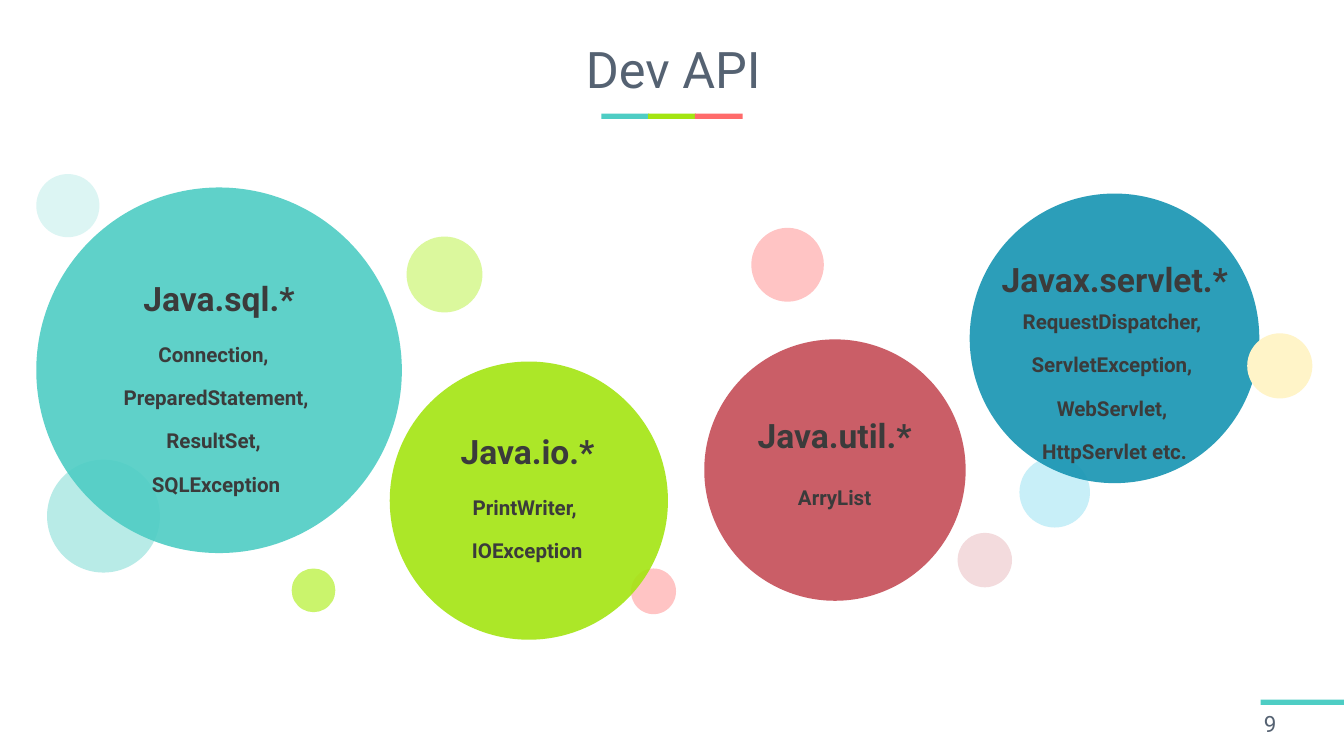
from typing import NamedTuple

from lxml.etree import SubElement
from pptx import Presentation
from pptx.dml.color import RGBColor
from pptx.enum.shapes import MSO_SHAPE as Preset
from pptx.enum.text import MSO_ANCHOR as Anchor, PP_ALIGN as Align
from pptx.oxml.ns import qn
from pptx.util import Inches, Pt

FONT = "Roboto"
SLATE, CHARCOAL = "556272", "3B3B3B"
TEAL, LIME, CORAL = "4ECDC4", "A3E511", "FF6B6B"
HEADING_SIZE, CLASS_SIZE = 36, 22


class Circle(NamedTuple):
    left: float
    top: float
    width: float
    height: float
    color: str
    opacity: int = 100


class Label(NamedTuple):
    left: float
    top: float
    width: float
    height: float
    lines: list[str]
    size: int


# Small bubbles behind the packages
BACK_BUBBLES = [
    Circle(11.18, 3.39, 1.08, 1.1, "FFC4C4"),
    Circle(15.17, 6.8, 1.05, 1.05, "C8EFF8"),
    Circle(0.7, 6.84, 1.68, 1.68, "B8EBE7"),
    Circle(9.39, 8.46, 0.67, 0.68, "FFC4C4"),
    Circle(4.34, 8.46, 0.65, 0.65, "CAF46C"),
]
PACKAGES = [
    Circle(0.54, 2.79, 5.44, 5.44, TEAL, 90),
    Circle(5.8, 5.38, 4.14, 4.14, LIME, 90),
    Circle(10.48, 5.05, 3.89, 3.89, "C54D57", 90),
    Circle(14.43, 2.88, 4.31, 4.31, "1694B2", 90),
]
# Small bubbles in front of the packages
FRONT_BUBBLES = [
    Circle(6.05, 3.52, 1.13, 1.13, "DBF89D"),
    Circle(0.54, 2.59, 0.94, 0.94, "DCF5F3"),
    Circle(14.25, 7.93, 0.81, 0.81, "F3DBDD"),
    Circle(18.56, 4.96, 0.97, 0.97, "FFF4C8"),
]
LABELS = [
    Label(0.74, 3.86, 5.04, 0.57, ["Java.sql.*"], HEADING_SIZE),
    Label(14.49, 3.59, 4.2, 0.57, ["Javax.servlet.*"], HEADING_SIZE),
    Label(10.69, 5.91, 3.46, 1.08, ["Java.util.*"], HEADING_SIZE),
    Label(6.12, 6.14, 3.46, 1.08, ["Java.io.*"], HEADING_SIZE),
    Label(1.06, 4.89, 4.31, 2.12,
          ["Connection, ", "PreparedStatement,", "ResultSet, ", "SQLException"], CLASS_SIZE),
    Label(5.82, 7.17, 4.05, 1.44, ["PrintWriter, ", "IOException"], CLASS_SIZE),
    Label(10.66, 7.02, 3.52, 1.44, ["ArryList"], CLASS_SIZE),
    Label(14.56, 4.4, 4.05, 2.16,
          ["RequestDispatcher, ", "ServletException, ", "WebServlet, ", "HttpServlet etc."],
          CLASS_SIZE),
]


def paint(fill, color: str, opacity: int = 100) -> None:
    fill.solid()
    fill.fore_color.rgb = RGBColor.from_string(color)
    if opacity < 100:
        color_element = fill._xPr.find(qn("a:solidFill"))[0]
        SubElement(color_element, qn("a:alpha")).set("val", str(opacity * 1000))


def add_figure(slide, preset, left: float, top: float, width: float, height: float,
               color: str, opacity: int = 100) -> None:
    shape = slide.shapes.add_shape(
        preset, Inches(left), Inches(top), Inches(width), Inches(height))
    shape.shadow.inherit = False
    shape.line.fill.background()
    paint(shape.fill, color, opacity)


def add_text(slide, lines: list[str], left: float, top: float, width: float, height: float,
             *, size: int, color: str, bold: bool = False, align=Align.CENTER,
             anchor=Anchor.TOP, line_spacing: float = 1.0, space_before: int = 0) -> None:
    box = slide.shapes.add_textbox(Inches(left), Inches(top), Inches(width), Inches(height))
    frame = box.text_frame
    frame.word_wrap = True
    frame.vertical_anchor = anchor
    frame.margin_left = frame.margin_right = Inches(0.1)
    frame.margin_top = frame.margin_bottom = Inches(0.09)
    for index, line in enumerate(lines):
        paragraph = frame.add_paragraph() if index else frame.paragraphs[0]
        paragraph.alignment = align
        paragraph.line_spacing = line_spacing
        paragraph.space_before = Pt(space_before)
        run = paragraph.add_run()
        run.text = line
        run.font.name = FONT
        run.font.size = Pt(size)
        run.font.bold = bold
        run.font.color.rgb = RGBColor.from_string(color)


def main() -> None:
    presentation = Presentation()
    presentation.slide_width = Inches(20)
    presentation.slide_height = Inches(11.25)
    slide = presentation.slides.add_slide(presentation.slide_layouts[6])
    paint(slide.background.fill, "FFFFFF")

    # Title with its three-colour rule
    for index, color in enumerate([TEAL, LIME, CORAL]):
        add_figure(slide, Preset.RECTANGLE, 8.95 + index * 0.695, 1.69, 0.71, 0.08, color)
    add_text(slide, ["Dev API"], 0.54, 0.38, 18.96, 1.4, size=54, color=SLATE,
             anchor=Anchor.MIDDLE, line_spacing=0.9)

    # Page number
    add_figure(slide, Preset.RECTANGLE, 18.76, 10.41, 1.24, 0.08, TEAL)
    add_text(slide, ["9"], 18.71, 10.5, 1.29, 0.53, size=24, color=SLATE,
             align=Align.LEFT, anchor=Anchor.MIDDLE)

    # Circles from back to front
    for circle in BACK_BUBBLES + PACKAGES + FRONT_BUBBLES:
        add_figure(slide, Preset.OVAL, *circle)

    # Package names and their classes
    for label in LABELS:
        add_text(slide, label.lines, label.left, label.top, label.width, label.height,
                 size=label.size, color=CHARCOAL, bold=True, line_spacing=1.3, space_before=12)

    presentation.save("out.pptx")


if __name__ == "__main__":
    main()
